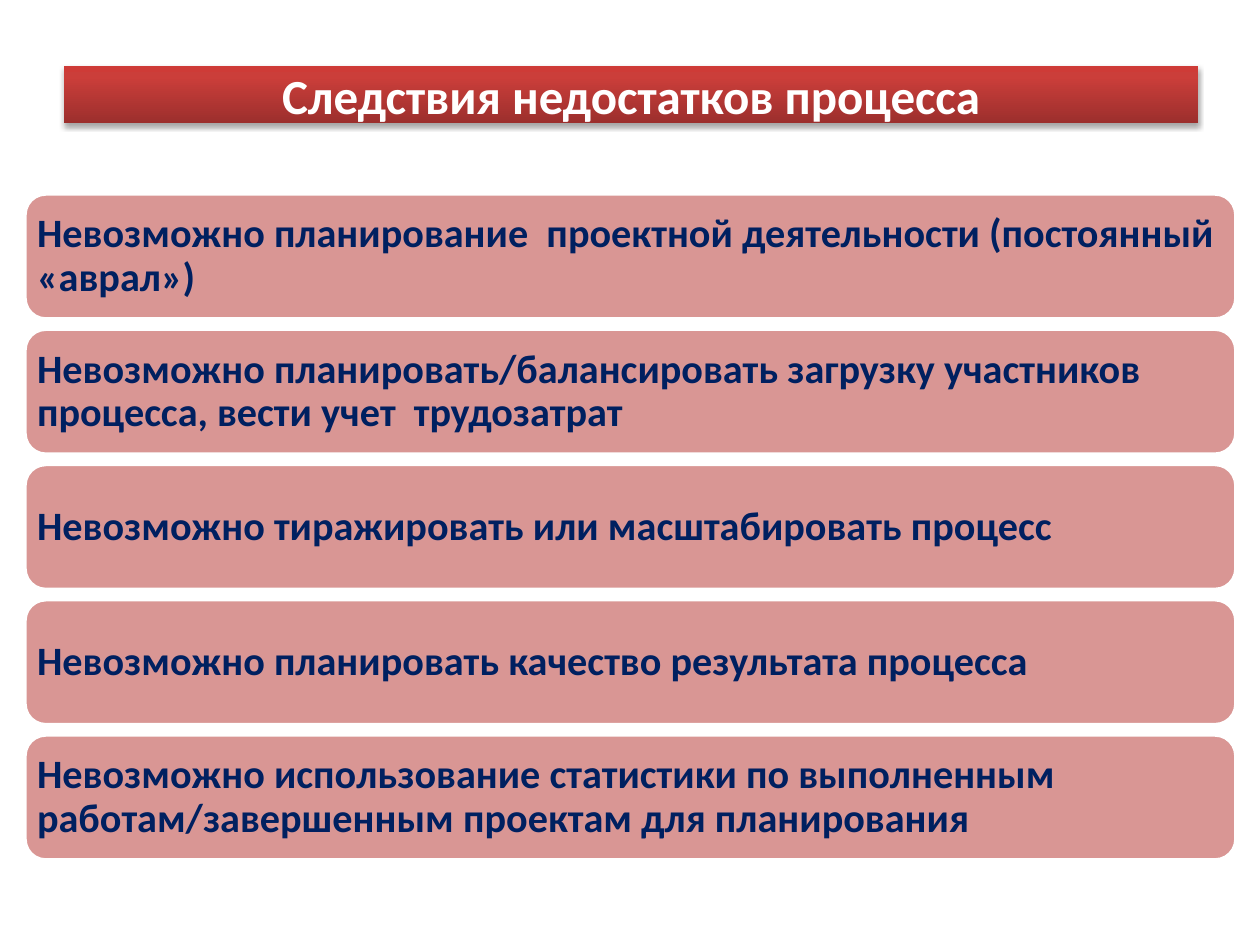
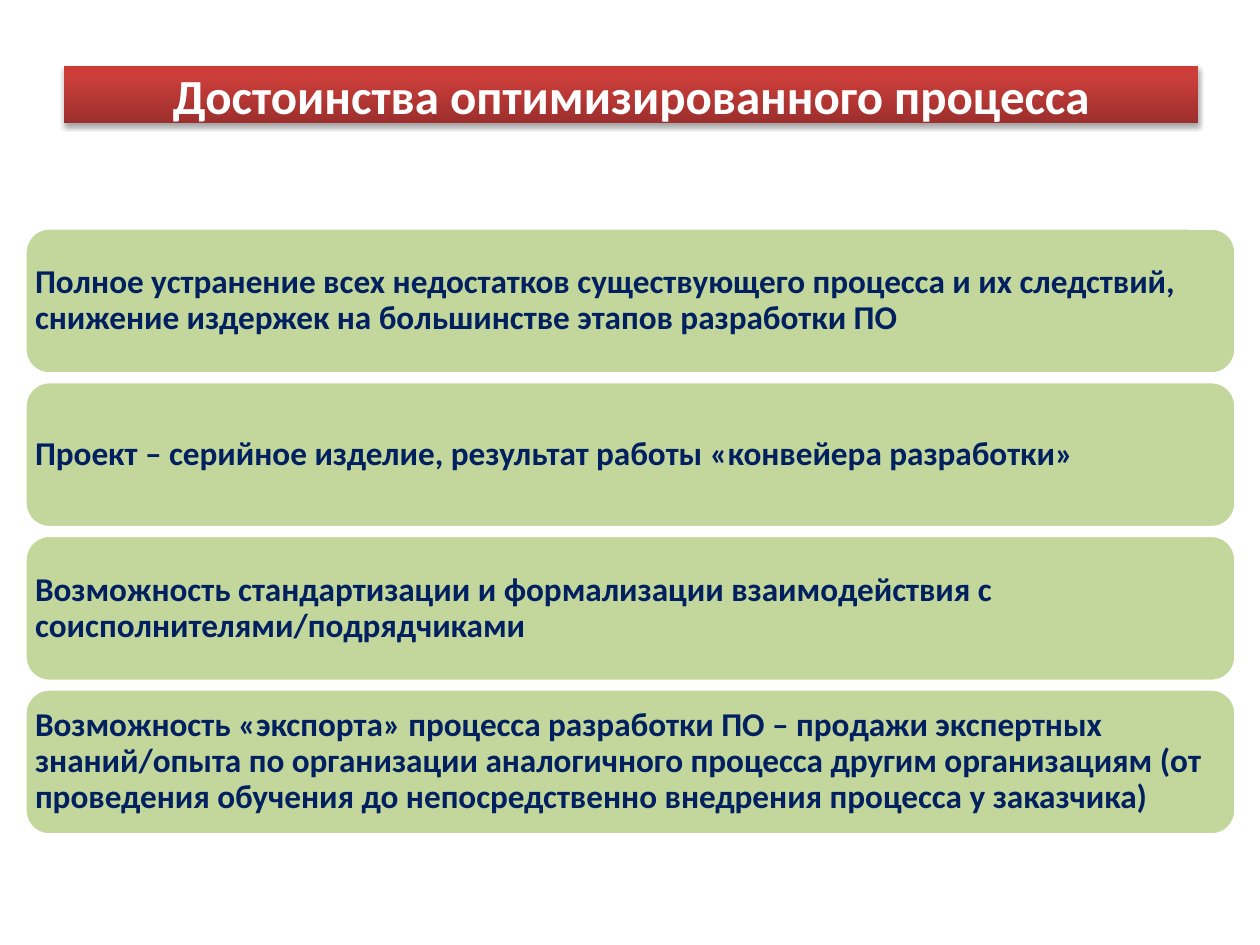
"""Build two slides: a red title band above a stack of rounded statements."""
from copy import deepcopy

from lxml import etree
from pptx import Presentation
from pptx.dml.color import RGBColor
from pptx.enum.shapes import MSO_SHAPE
from pptx.enum.text import MSO_ANCHOR, PP_ALIGN
from pptx.oxml.ns import qn
from pptx.util import Emu, Pt

RECT, ROUNDED = MSO_SHAPE.RECTANGLE, MSO_SHAPE.ROUNDED_RECTANGLE
LEFT, CENTER = PP_ALIGN.LEFT, PP_ALIGN.CENTER
MIDDLE = MSO_ANCHOR.MIDDLE

PX_PER_INCH = 126
SLIDE_SIZE = (1260, 945)
TITLE_BAND = (64, 66, 1134, 57)
STACK_LEFT, STACK_WIDTH = 25, 1211
FONT = "Calibri"
WHITE, NAVY = "FFFFFF", "002060"
BAND_STOPS = [(0, "9C2F2D"), (0.8, "CB3E3A"), (1, "CE3B37")]

SLIDES = [
    {
        "title": "Следствия недостатков процесса",
        "statements": [
            "Невозможно планирование  проектной деятельности (постоянный «аврал»)",
            "Невозможно планировать/балансировать загрузку участников процесса, вести учет  трудозатрат",
            "Невозможно тиражировать или масштабировать процесс",
            "Невозможно планировать качество результата процесса",
            "Невозможно использование статистики по выполненным работам/завершенным проектам для планирования",
        ],
        "color": "D99694", "size": 23, "inset": 6,
        "top": 194, "bottom": 860, "height": 125,
    },
    {
        "title": "Достоинства оптимизированного процесса",
        "statements": [
            "Полное устранение всех недостатков существующего процесса и их следствий, "
            "снижение издержек на большинстве этапов разработки ПО",
            "Проект – серийное изделие, результат работы «конвейера разработки»",
            "Возможность стандартизации и формализации взаимодействия с соисполнителями/подрядчиками",
            "Возможность «экспорта» процесса разработки ПО – продажи экспертных знаний/опыта "
            "по организации аналогичного процесса другим организациям (от проведения обучения "
            "до непосредственно внедрения процесса у заказчика)",
        ],
        "color": "C3D69B", "size": 19, "inset": 3,
        "top": 228, "bottom": 835, "height": 146,
    },
]


def px(length):
    return Emu(round(length * 914400 / PX_PER_INCH))


def rgb(value):
    return RGBColor.from_string(value)


def add_box(slide, kind, place, text, size, color, align):
    box = slide.shapes.add_shape(kind, *map(px, place))
    box.shadow.inherit = False
    frame = box.text_frame
    frame.word_wrap = True
    frame.vertical_anchor = MIDDLE
    paragraph = frame.paragraphs[0]
    paragraph.alignment = align
    run = paragraph.add_run()
    run.text = text
    run.font.name, run.font.size, run.font.bold = FONT, Pt(size), True
    run.font.color.rgb = rgb(color)
    return box


def add_band_shadow(band):
    effects = band._element.spPr.find(qn("a:effectLst"))
    shadow = etree.SubElement(effects, qn("a:outerShdw"), blurRad="39400",
                              dist="22900", dir="5400000", rotWithShape="0")
    black = etree.SubElement(shadow, qn("a:srgbClr"), val="000000")
    etree.SubElement(black, qn("a:alpha"), val="35000")


def add_title_band(slide, title):
    band = add_box(slide, RECT, TITLE_BAND, title, 28, WHITE, CENTER)
    band.line.fill.background()
    band.fill.gradient()
    band.fill.gradient_angle = 90
    stop_list = next(band._element.spPr.iter(qn("a:gsLst")))
    stop_list.append(deepcopy(stop_list[-1]))
    for stop, (position, color) in zip(band.fill.gradient_stops, BAND_STOPS):
        stop.position = position
        stop.color.rgb = rgb(color)
    add_band_shadow(band)


def add_statements(slide, content):
    statements, height = content["statements"], content["height"]
    pitch = (content["bottom"] - content["top"] - height) / (len(statements) - 1)
    for row, statement in enumerate(statements):
        place = (STACK_LEFT, content["top"] + row * pitch, STACK_WIDTH, height)
        bar = add_box(slide, ROUNDED, place, statement, content["size"], NAVY, LEFT)
        bar.fill.solid()
        bar.fill.fore_color.rgb = rgb(content["color"])
        bar.line.color.rgb = rgb(WHITE)
        bar.line.width = Pt(2)
        frame = bar.text_frame
        frame.margin_left = frame.margin_right = px(content["inset"])
        frame.margin_top = frame.margin_bottom = px(content["inset"])
        frame.paragraphs[0].line_spacing = 0.9


def main():
    deck = Presentation()
    deck.slide_width, deck.slide_height = map(px, SLIDE_SIZE)
    for content in SLIDES:
        slide = deck.slides.add_slide(deck.slide_layouts[6])
        add_title_band(slide, content["title"])
        add_statements(slide, content)
    deck.save("out.pptx")


if __name__ == "__main__":
    main()
